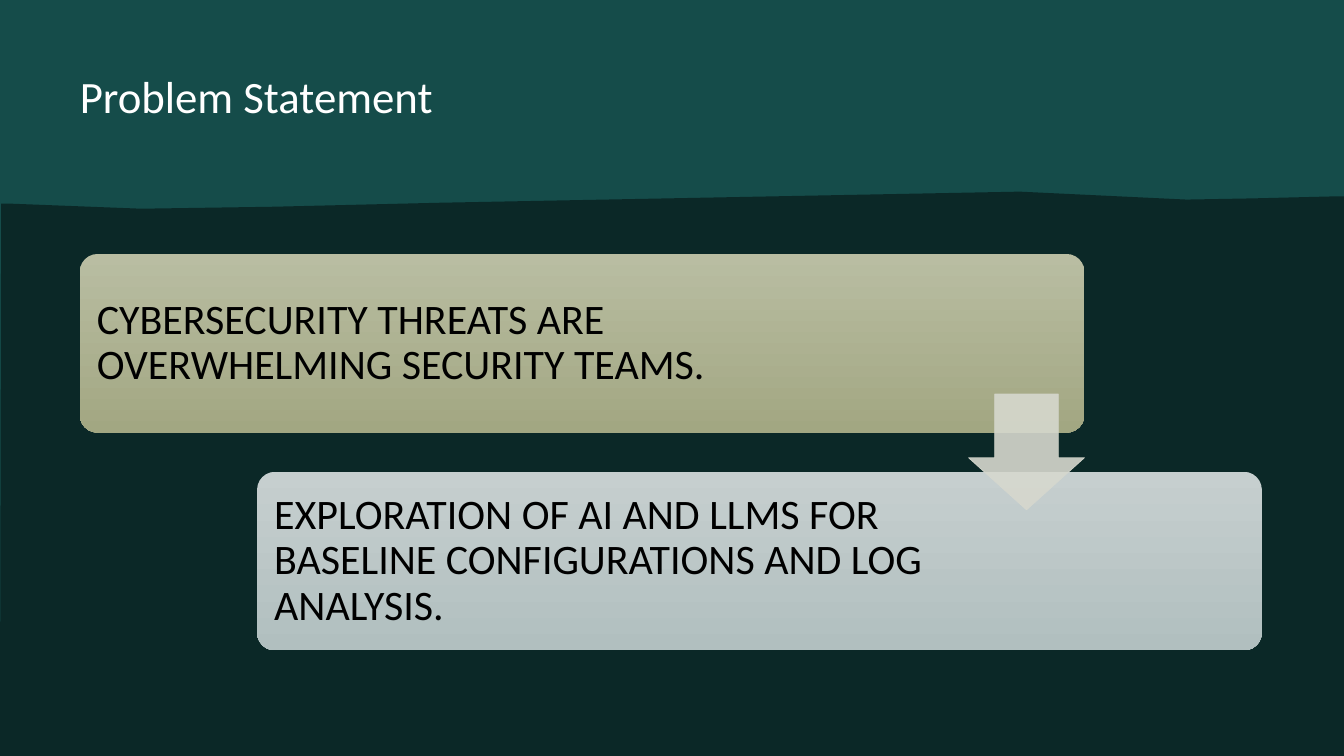
from dataclasses import dataclass

from lxml import etree
from pptx import Presentation
from pptx.dml.color import RGBColor
from pptx.enum.shapes import MSO_SHAPE
from pptx.enum.text import MSO_ANCHOR, MSO_AUTO_SIZE, PP_ALIGN
from pptx.oxml.ns import qn
from pptx.shapes.autoshape import Shape
from pptx.slide import Slide
from pptx.text.text import TextFrame
from pptx.util import Cm, Pt

RECTANGLE = MSO_SHAPE.RECTANGLE
ROUNDED_RECTANGLE = MSO_SHAPE.ROUNDED_RECTANGLE
DOWN_ARROW = MSO_SHAPE.DOWN_ARROW
TOP, MIDDLE = MSO_ANCHOR.TOP, MSO_ANCHOR.MIDDLE
LEFT = PP_ALIGN.LEFT
NO_AUTOFIT = MSO_AUTO_SIZE.NONE

FONT = "Calibri"
COLOURS = {
    "dark": "0B2827",
    "band": "154C4A",
    "arrow": "D6D8CE",
    "title": "FFFFFF",
    "text": "000000",
}
SLIDE_WIDTH, SLIDE_HEIGHT = 33.87, 19.05
CARD_WIDTH, CARD_HEIGHT = 25.32, 4.5
CARD_LEFT, CARD_TOP = 2.01, 6.4
CARD_STEP_X, CARD_STEP_Y = 4.47, 5.49
TERRAIN_POINTS = [
    (0, SLIDE_HEIGHT), (0.03, 5.13), (0.2, 5.13), (3.56, 5.26),
    (6.91, 5.21), (11.07, 5.11), (25.7, 4.83), (29.9, 5.03),
    (31.57, 5.0), (33.6, 4.95), (SLIDE_WIDTH, 4.95), (SLIDE_WIDTH, SLIDE_HEIGHT),
]


@dataclass(frozen=True)
class Card:
    text: str
    gradient: tuple[str, str]
    right_inset: float


CARDS = [
    Card("CYBERSECURITY THREATS ARE OVERWHELMING SECURITY TEAMS.",
         ("B9BDA2", "A2A782"), 4.67),
    Card("EXPLORATION OF AI AND LLMS FOR BASELINE CONFIGURATIONS AND LOG ANALYSIS.",
         ("C6CFCF", "B1BFBF"), 7.7),
]


def colour(name: str) -> RGBColor:
    return RGBColor.from_string(COLOURS[name])


def write_text(frame: TextFrame, text: str, *, size: float, colour_name: str,
               anchor: MSO_ANCHOR, insets: tuple[float, float, float, float],
               line_spacing: float = 1.0) -> None:
    """Fill a frame with one left-aligned paragraph; insets run left, top, right, bottom."""
    frame.word_wrap = True
    frame.auto_size = NO_AUTOFIT
    frame.vertical_anchor = anchor
    (frame.margin_left, frame.margin_top,
     frame.margin_right, frame.margin_bottom) = map(Cm, insets)
    paragraph = frame.paragraphs[0]
    paragraph.alignment = LEFT
    paragraph.line_spacing = line_spacing
    run = paragraph.add_run()
    run.text = text
    run.font.name = FONT
    run.font.size = Pt(size)
    run.font.color.rgb = colour(colour_name)


def add_plain_shape(slide: Slide, kind: MSO_SHAPE, left: float, top: float,
                    width: float, height: float) -> Shape:
    shape = slide.shapes.add_shape(kind, Cm(left), Cm(top), Cm(width), Cm(height))
    shape.shadow.inherit = False
    shape.line.fill.background()
    return shape


def add_backdrop(slide: Slide) -> None:
    """Lay the lighter band behind the title and the jagged dark area over it."""
    band = add_plain_shape(slide, RECTANGLE, 0, 0, SLIDE_WIDTH, SLIDE_HEIGHT)
    band.fill.solid()
    band.fill.fore_color.rgb = colour("band")
    slide.shapes.title.element.addprevious(band.element)

    start, *rest = [(Cm(x), Cm(y)) for x, y in TERRAIN_POINTS]
    builder = slide.shapes.build_freeform(*start)
    builder.add_line_segments(rest, close=True)
    terrain = builder.convert_to_shape()
    terrain.shadow.inherit = False
    terrain.fill.solid()
    terrain.fill.fore_color.rgb = colour("dark")
    terrain.line.fill.background()


def add_title(slide: Slide, text: str) -> None:
    title = slide.shapes.title
    title.left, title.top, title.width, title.height = map(Cm, (2.01, 1.73, 29.79, 1.91))
    write_text(title.text_frame, text, size=32, colour_name="title",
               anchor=TOP, insets=(0, 0, 0, 0))


def add_card(slide: Slide, card: Card, index: int) -> None:
    shape = add_plain_shape(slide, ROUNDED_RECTANGLE, CARD_LEFT + index * CARD_STEP_X,
                            CARD_TOP + index * CARD_STEP_Y, CARD_WIDTH, CARD_HEIGHT)
    shape.adjustments[0] = 0.1
    shape.fill.gradient()
    shape.fill.gradient_angle = 270
    for stop, value in zip(shape.fill.gradient_stops, card.gradient):
        stop.color.rgb = RGBColor.from_string(value)
    write_text(shape.text_frame, card.text, size=30, colour_name="text", anchor=MIDDLE,
               insets=(0.3, 0.3, card.right_inset, 0.3), line_spacing=0.9)


def add_arrow(slide: Slide) -> None:
    arrow = add_plain_shape(slide, DOWN_ARROW, 24.41, 9.93, 2.92, 2.92)
    arrow.adjustments[0], arrow.adjustments[1] = 0.55, 0.45
    arrow.line.width = Pt(0.5)
    for fill in (arrow.fill, arrow.line.fill):
        fill.solid()
        fill.fore_color.rgb = colour("arrow")
    for element in arrow.element.spPr.iter(qn("a:srgbClr")):
        etree.SubElement(element, qn("a:alpha"), val="90000")


def main() -> None:
    presentation = Presentation()
    presentation.slide_width = Cm(SLIDE_WIDTH)
    presentation.slide_height = Cm(SLIDE_HEIGHT)
    slide = presentation.slides.add_slide(presentation.slide_layouts.get_by_name("Title Only"))
    slide.background.fill.solid()
    slide.background.fill.fore_color.rgb = colour("dark")

    add_backdrop(slide)
    add_title(slide, "Problem Statement")
    for index, card in enumerate(CARDS):
        add_card(slide, card, index)
    add_arrow(slide)
    presentation.save("out.pptx")


if __name__ == "__main__":
    main()
